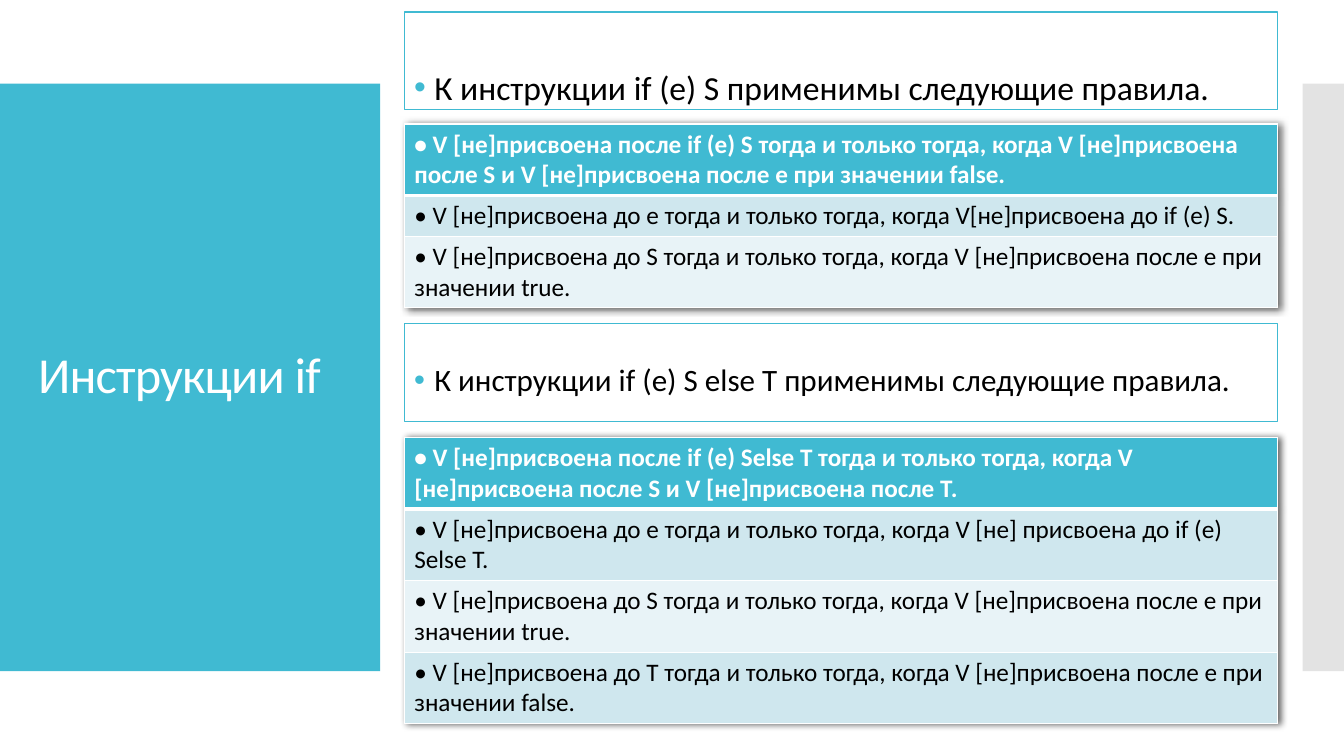
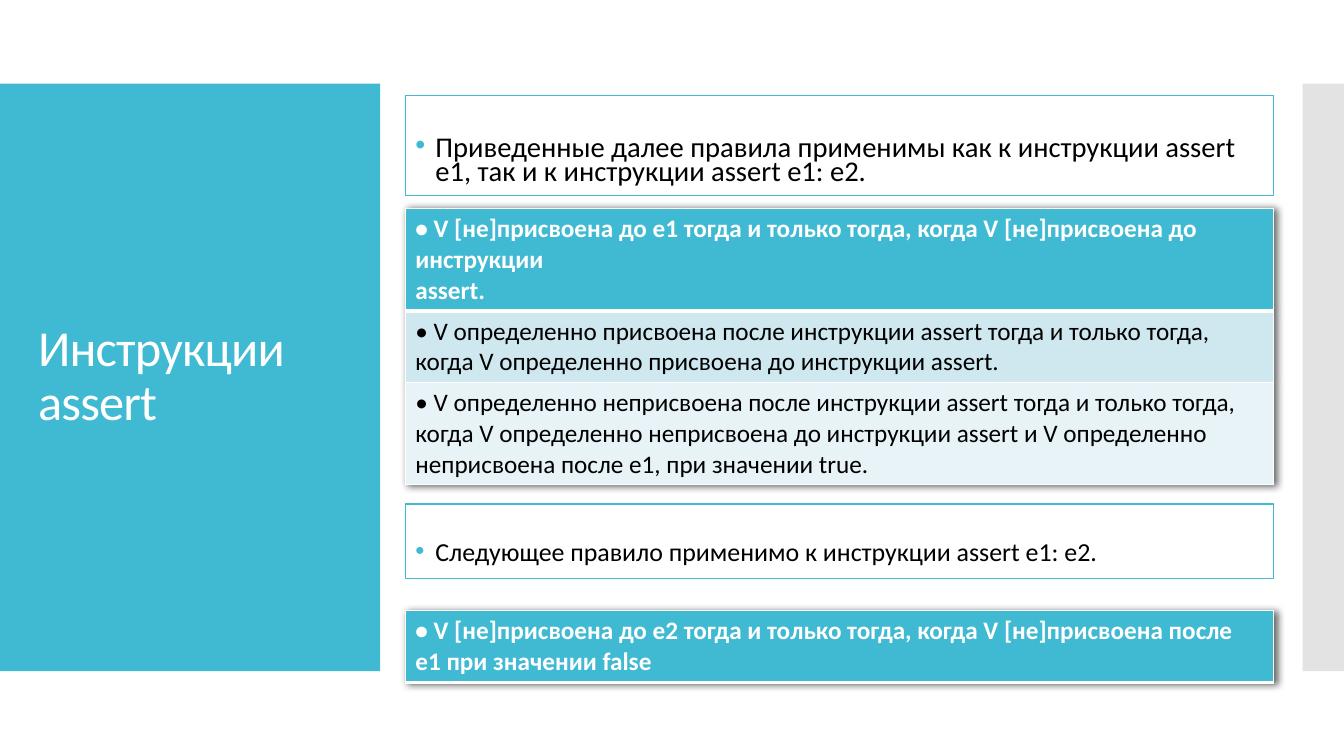
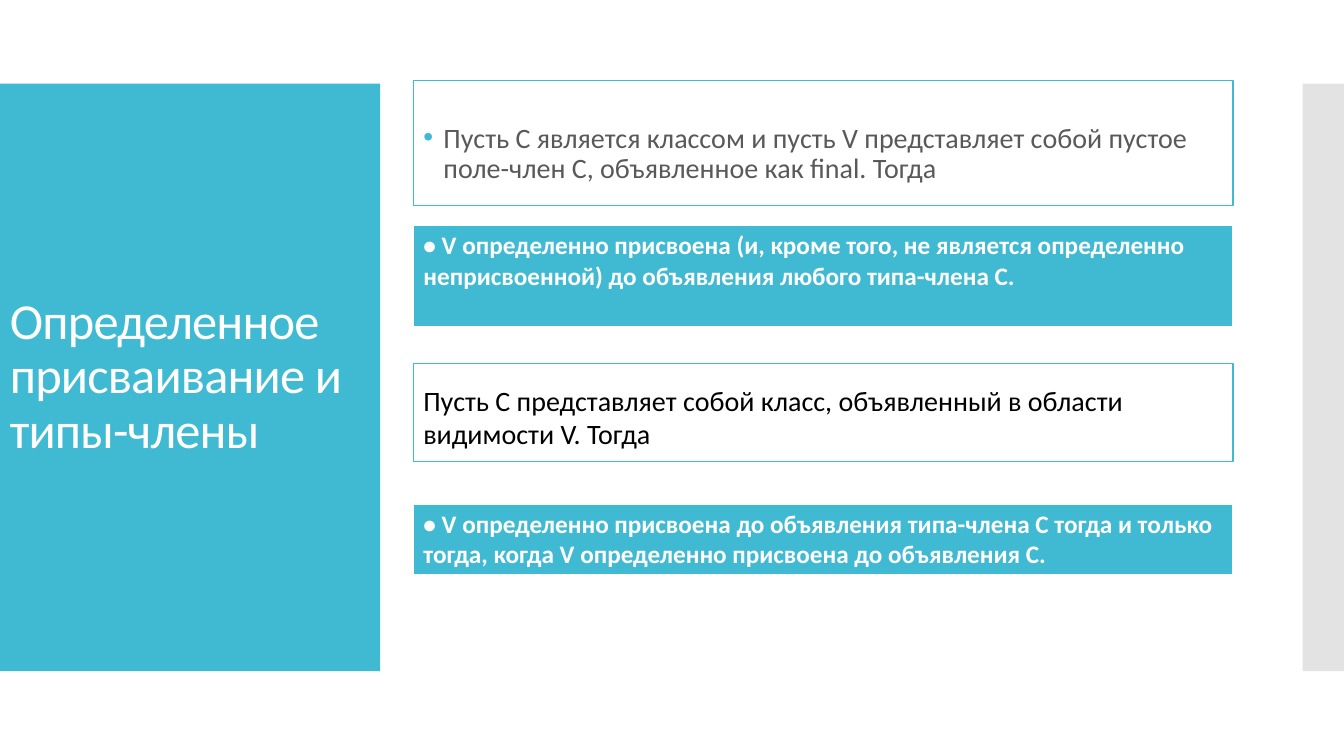
import pptx
import pptx.util
import pptx.dml.color
import pptx.enum.shapes
import pptx.enum.text
import pptx.oxml
import pptx.oxml.ns
import lxml.etree

Inches = pptx.util.Inches
Pt = pptx.util.Pt
qn = pptx.oxml.ns.qn

FONT = "Calibri"
COLORS = {
    "accent": "40BAD2",
    "side": "C8C8C8",
    "white": "FFFFFF",
    "black": "000000",
    "muted": "595959",
    "odd": "CFE7EE",
    "even": "E8F3F7",
}
BAND_TOP, BAND_HEIGHT = 0.83, 5.83
LINE_HEIGHT, CELL_PADDING = 0.305, 0.1


def rgb(name):
    return pptx.dml.color.RGBColor.from_string(COLORS[name])


def child(parent, tag, **attributes):
    return lxml.etree.SubElement(parent, qn(tag), attributes)


def add_run(paragraph, text, size, color, bold=False):
    run = paragraph.add_run()
    run.text = text
    run.font.name = FONT
    run.font.size = Pt(size)
    run.font.bold = bold
    run.font.color.rgb = rgb(color)
    return run


def add_rect(slide, box, fill=None, line=None, line_width=0.85):
    rect = slide.shapes.add_shape(
        pptx.enum.shapes.MSO_SHAPE.RECTANGLE, *map(Inches, box))
    rect.shadow.inherit = False
    if fill:
        rect.fill.solid()
        rect.fill.fore_color.rgb = rgb(fill)
    else:
        rect.fill.background()
    if line:
        rect.line.color.rgb = rgb(line)
        rect.line.width = Pt(line_width)
    else:
        rect.line.fill.background()
    return rect


def add_frame(slide, title, title_box):
    add_rect(slide, (0, BAND_TOP, 3.77, BAND_HEIGHT), "accent")
    side = add_rect(slide, (12.92, BAND_TOP, 0.42, BAND_HEIGHT), "side")
    color = side._element.spPr.find(qn("a:solidFill")).find(qn("a:srgbClr"))
    child(color, "a:alpha", val="50000")
    heading = slide.shapes.add_textbox(*map(Inches, title_box)).text_frame
    heading.word_wrap = True
    heading.vertical_anchor = pptx.enum.text.MSO_ANCHOR.MIDDLE
    paragraph = heading.paragraphs[0]
    paragraph.line_spacing = 0.9
    run = add_run(paragraph, title, 36, "white")
    run.font._element.set("spc", "-60")


def add_statement(slide, box, text, size, text_top, spacing=0.9,
                  color="black", fill="white", line_width=0.85, bullet=True):
    frame = add_rect(slide, box, fill, "accent", line_width).text_frame
    frame.word_wrap = True
    frame.vertical_anchor = pptx.enum.text.MSO_ANCHOR.TOP
    frame.margin_top = Inches(text_top)
    frame.margin_bottom = 0
    paragraph = frame.paragraphs[0]
    paragraph.alignment = pptx.enum.text.PP_ALIGN.LEFT
    paragraph.line_spacing = spacing
    if bullet:
        properties = paragraph._p.get_or_add_pPr()
        properties.set("marL", str(Inches(0.2)))
        properties.set("indent", str(Inches(-0.2)))
        bullet_color = child(properties, "a:buClr")
        child(bullet_color, "a:srgbClr", val=COLORS["accent"])
        child(properties, "a:buFont", typeface="Arial")
        child(properties, "a:buChar", char="•")
    add_run(paragraph, text, size, color)


def set_borders(cell, bottom_width):
    properties = cell._tc.get_or_add_tcPr()
    widths = {"a:lnL": 1, "a:lnR": 1, "a:lnT": 1, "a:lnB": bottom_width}
    for position, (tag, width) in enumerate(widths.items()):
        border = child(properties, tag, w=str(Pt(width)))
        child(child(border, "a:solidFill"), "a:srgbClr", val=COLORS["white"])
        properties.insert(position, border)


def add_table_shadow(table):
    properties = table._tbl.tblPr
    effects = child(properties, "a:effectLst")
    properties.insert(0, effects)
    shadow = child(effects, "a:outerShdw", blurRad=str(Inches(0.07)),
                   dist=str(Inches(0.03)), dir="0", algn="ctr", rotWithShape="0")
    child(child(shadow, "a:srgbClr", val=COLORS["black"]), "a:alpha", val="60000")


def add_rules(slide, left, top, width, rules, shadow=True):
    heights = [CELL_PADDING + LINE_HEIGHT * lines for lines, _ in rules]
    table = slide.shapes.add_table(
        len(rules), 1, *map(Inches, (left, top, width, sum(heights)))).table
    table.horz_banding = False
    if shadow:
        add_table_shadow(table)
    for index, (_, text) in enumerate(rules):
        header = index == 0
        table.rows[index].height = Inches(heights[index])
        cell = table.cell(index, 0)
        cell.fill.solid()
        cell.fill.fore_color.rgb = rgb(
            "accent" if header else "odd" if index % 2 else "even")
        set_borders(cell, 3 if header else 1)
        frame = cell.text_frame
        for number, part in enumerate(text.split("\n")):
            paragraph = frame.add_paragraph() if number else frame.paragraphs[0]
            add_run(paragraph, part, 18, "white" if header else "black", header)


def build_if(slide):
    left, width = 4.01, 8.66
    add_frame(slide, "Инструкции if", (0.28, 1.23, 3.22, 5.03))
    add_statement(slide, (left, 0.12, width, 0.97),
                  "К инструкции if (е) S применимы следующие правила.",
                  24, 0.62, spacing=0.8)
    add_rules(slide, left, 1.23, width, [
        (2, "• V [не]присвоена после if (е) S тогда и только тогда, когда V [не]присвоена после S и V [не]присвоена после е при значении false."),
        (1, "• V [не]присвоена до е тогда и только тогда, когда V[не]присвоена до if (е) S."),
        (2, "• V [не]присвоена до S тогда и только тогда, когда V [не]присвоена после е при значении true."),
    ])
    add_statement(slide, (left, 3.21, width, 0.97),
                  "К инструкции if (е) S else T применимы следующие правила.",
                  22.2, 0.41)
    add_rules(slide, left, 4.34, width, [
        (2, "• V [не]присвоена после if (е) Selse Т тогда и только тогда, когда V [не]присвоена после S и V [не]присвоена после Т."),
        (2, "• V [не]присвоена до е тогда и только тогда, когда V [не] присвоена до if (е) Selse T."),
        (2, "• V [не]присвоена до S тогда и только тогда, когда V [не]присвоена после е при значении true."),
        (2, "• V [не]присвоена до Т тогда и только тогда, когда V [не]присвоена после е при значении false."),
    ])


def build_assert(slide):
    left, width = 4.02, 8.61
    add_frame(slide, "Инструкции assert", (0.28, 1.23, 3.22, 5.03))
    add_statement(slide, (left, 0.95, width, 0.99),
                  "Приведенные далее правила применимы как к инструкции assert е1, так и к инструкции assert е1: е2.",
                  20.4, 0.42, spacing=0.7)
    add_rules(slide, left, 2.07, width, [
        (3, "• V [не]присвоена до е1 тогда и только тогда, когда V [не]присвоена до инструкции\nassert."),
        (2, "• V определенно присвоена после инструкции assert тогда и только тогда, когда V определенно присвоена до инструкции assert."),
        (3, "• V определенно неприсвоена после инструкции assert тогда и только тогда, когда V определенно неприсвоена до инструкции assert и V определенно неприсвоена после е1, при значении true."),
    ])
    add_statement(slide, (left, 5, width, 0.74),
                  "Следующее правило применимо к инструкции assert е1: е2.",
                  18.5, 0.4, spacing=0.7)
    add_rules(slide, left, 6.06, width, [
        (2, "• V [не]присвоена до е2 тогда и только тогда, когда V [не]присвоена после е1 при значении false"),
    ])


def build_members(slide):
    left, width = 4.1, 8.13
    add_frame(slide, "Определенное присваивание и типы-члены", (0, 1.23, 3.65, 5.03))
    add_statement(slide, (left, 0.8, width, 1.24),
                  "Пусть С является классом и пусть V представляет собой пустое поле-член С, объявленное как final. Тогда",
                  20, 0.43, color="muted", fill=None, line_width=0.75)
    add_rules(slide, left, 2.24, width, [
        (3, "• V определенно присвоена (и, кроме того, не является определенно неприсвоенной) до объявления любого типа-члена С."),
    ], shadow=False)
    add_statement(slide, (left, 3.61, width, 0.97),
                  "Пусть С представляет собой класс, объявленный в области видимости V. Тогда",
                  20, 0.19, spacing=1, fill=None, line_width=0.75, bullet=False)
    add_rules(slide, left, 5, width, [
        (2, "• V определенно присвоена до объявления типа-члена С тогда и только тогда, когда V определенно присвоена до объявления С."),
    ], shadow=False)


def main():
    deck = pptx.Presentation()
    deck.slide_width = Inches(13.33)
    deck.slide_height = Inches(7.5)
    for build in (build_if, build_assert, build_members):
        build(deck.slides.add_slide(deck.slide_layouts[6]))
    deck.save("out.pptx")


if __name__ == "__main__":
    main()
